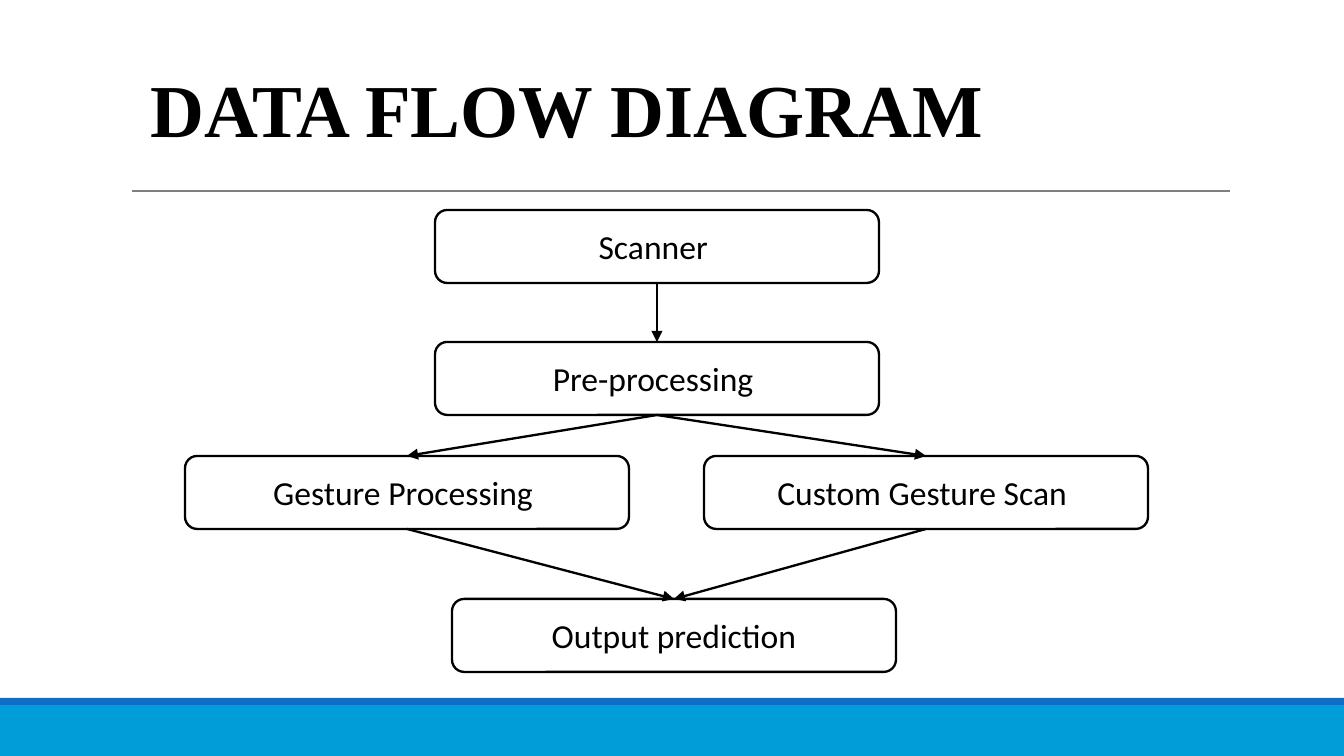
from lxml import etree
from pptx import Presentation
from pptx.dml.color import RGBColor
from pptx.enum.shapes import MSO_CONNECTOR, MSO_SHAPE
from pptx.enum.text import MSO_ANCHOR, PP_ALIGN
from pptx.oxml.ns import qn
from pptx.util import Pt

PX = 9144000 / 1344
STRAIGHT = MSO_CONNECTOR.STRAIGHT
RECT, ROUNDED = MSO_SHAPE.RECTANGLE, MSO_SHAPE.ROUNDED_RECTANGLE
MIDDLE, BOTTOM = MSO_ANCHOR.MIDDLE, MSO_ANCHOR.BOTTOM
LEFT, CENTER = PP_ALIGN.LEFT, PP_ALIGN.CENTER
COLORS = {"black": "000000", "white": "FFFFFF", "gray": "7F7F7F",
          "cyan": "009DD9", "blue": "0F6FC6"}
COLORS = {name: RGBColor.from_string(value) for name, value in COLORS.items()}


def px(*values):
    return [round(v * PX) for v in values]


def add_line(points, color, width):
    line = s.shapes.add_connector(STRAIGHT, *px(*points))
    line.line.color.rgb = COLORS[color]
    line.line.width = Pt(width)
    etree.SubElement(line._element.spPr, qn("a:effectLst"))
    return line


prs = Presentation()
prs.slide_width, prs.slide_height = px(1344, 756)
s = prs.slides.add_slide(prs.slide_layouts[5])

for top, height, color in [(705, 51, "cyan"), (698, 7, "blue")]:
    bar = s.shapes.add_shape(RECT, *px(0, top, 1344, height))
    bar.shadow.inherit = False
    bar.fill.solid()
    bar.fill.fore_color.rgb = COLORS[color]
    bar.line.fill.background()

add_line((132, 191, 1230, 191), "gray", 0.75)

title = s.shapes.title
title.left, title.top, title.width, title.height = px(137, 55, 870, 104)
tf = title.text_frame
tf.text = "DATA FLOW DIAGRAM"
tf.vertical_anchor = BOTTOM
p = tf.paragraphs[0]
p.alignment = LEFT
font = p.runs[0].font
font.name, font.size, font.bold = "Times New Roman", Pt(40), True
font.color.rgb = COLORS["black"]

steps = [
    ("Scanner ", 435, 210),
    ("Pre-processing ", 435, 342),
    ("Gesture Processing ", 185, 456),
    ("Custom Gesture Scan ", 704, 456),
    ("Output prediction", 452, 599),
]
boxes = []
for text, left, top in steps:
    box = s.shapes.add_shape(ROUNDED, *px(left, top, 444, 73))
    box.shadow.inherit = False
    box.fill.solid()
    box.fill.fore_color.rgb = COLORS["white"]
    box.line.color.rgb = COLORS["black"]
    box.line.width = Pt(1.25)
    tf = box.text_frame
    tf.text = text
    tf.vertical_anchor = MIDDLE
    p = tf.paragraphs[0]
    p.alignment = CENTER
    font = p.runs[0].font
    font.name, font.size = "Calibri", Pt(18)
    font.color.rgb = COLORS["black"]
    boxes.append(box)

for start, end in [(0, 1), (1, 2), (1, 3), (2, 4), (3, 4)]:
    arrow = add_line((0, 0, 0, 0), "black", 1.25)
    arrow.begin_connect(boxes[start], 2)
    arrow.end_connect(boxes[end], 0)
    etree.SubElement(arrow.line._get_or_add_ln(), qn("a:tailEnd"), type="triangle")

prs.save("out.pptx")
